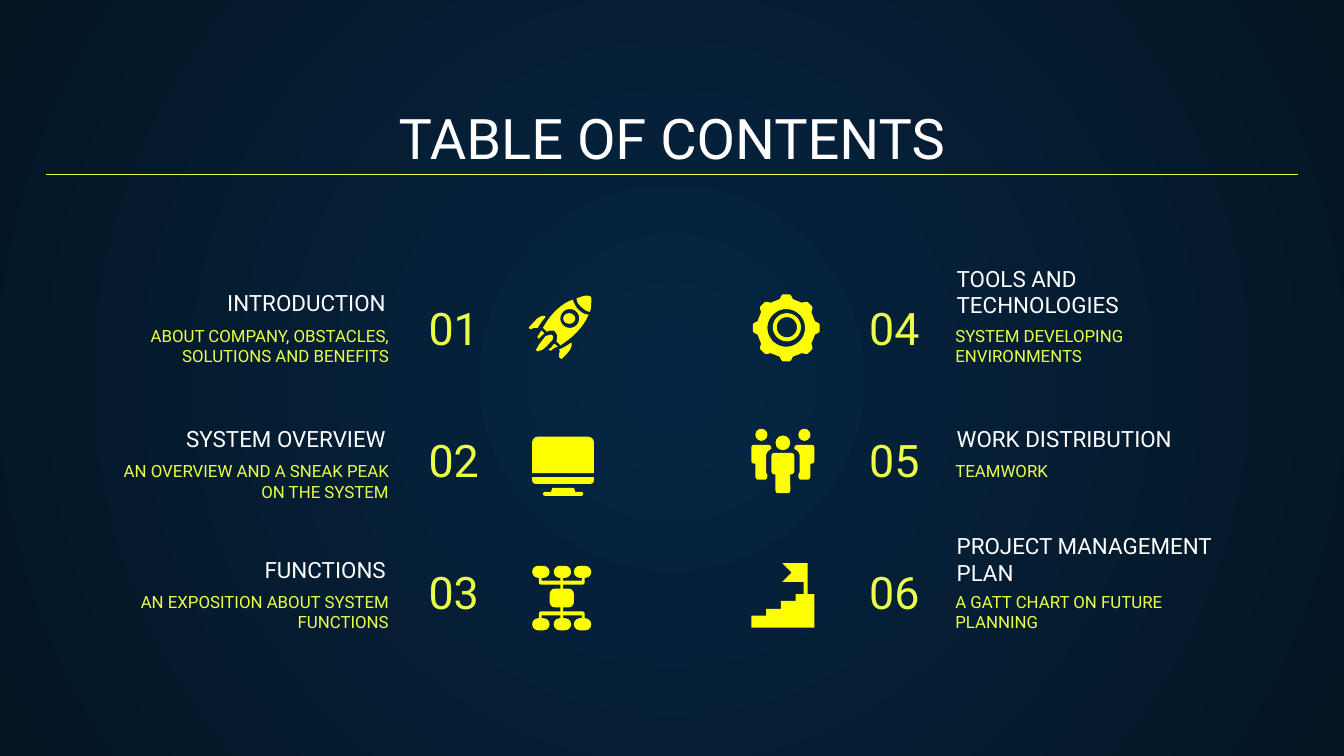
from math import cos, radians, sin
from lxml.etree import SubElement
from pptx import Presentation
from pptx.dml.color import RGBColor
from pptx.enum.shapes import MSO_CONNECTOR, MSO_SHAPE
from pptx.enum.text import MSO_ANCHOR, MSO_AUTO_SIZE, PP_ALIGN
from pptx.oxml.ns import qn
from pptx.util import Inches, Pt

THEME = {
    "font": "Roboto",
    "white": RGBColor.from_string("FFFFFF"),
    "accent": RGBColor.from_string("ECFF48"),
    "icon": RGBColor.from_string("FFFF00"),
    "background": [RGBColor.from_string("052643"), RGBColor.from_string("041523")],
    "title": 30, "number": 24, "heading": 12, "detail": 9,
}

TITLE = "TABLE OF CONTENTS"
LEFT_ITEMS = [
    ("01", "INTRODUCTION", "ABOUT COMPANY, OBSTACLES, SOLUTIONS AND BENEFITS", 2.24),
    ("02", "SYSTEM OVERVIEW", "AN OVERVIEW AND A SNEAK PEAK ON THE SYSTEM", 3.25),
    ("03", "FUNCTIONS", "AN EXPOSITION ABOUT SYSTEM FUNCTIONS", 4.23),
]
RIGHT_ITEMS = [
    ("04", "TOOLS AND TECHNOLOGIES", "SYSTEM DEVELOPING ENVIRONMENTS", 2.26),
    ("05", "WORK DISTRIBUTION", "TEAMWORK", 3.25),
    ("06", "PROJECT MANAGEMENT PLAN", "A GATT CHART ON FUTURE PLANNING", 4.25),
]
NUMBER_TOPS = [2.08, 3.06, 4.04]
DETAIL_TOPS = [2.32, 3.33, 4.3]
COLUMNS = [
    (LEFT_ITEMS, PP_ALIGN.RIGHT, PP_ALIGN.LEFT, (3.09, 1.29), (0.7, 2.27), (0.79, 2.2)),
    (RIGHT_ITEMS, PP_ALIGN.LEFT, PP_ALIGN.RIGHT, (5.65, 1.29), (7.02, 2.27), (7.01, 2.07)),
]

ROCKET_HULL = [
    (4.26, 2.23), (4.18, 2.26, 4.1, 2.33, 4.04, 2.44), (4.07, 2.47),
    (4.08, 2.46, 4.09, 2.46, 4.1, 2.46), (4.11, 2.46, 4.13, 2.46, 4.13, 2.47),
    (4.15, 2.49, 4.15, 2.51, 4.14, 2.54), (4.17, 2.57),
    (4.25, 2.52, 4.34, 2.44, 4.38, 2.34), (4.35, 2.34, 4.33, 2.33, 4.3, 2.3),
    (4.28, 2.28, 4.27, 2.25, 4.26, 2.23),
]
ROCKET_PARTS = [
    [(4.37, 2.2), (4.34, 2.2, 4.32, 2.21, 4.29, 2.22), (4.29, 2.24, 4.3, 2.26, 4.32, 2.28),
     (4.34, 2.3, 4.37, 2.32, 4.39, 2.32), (4.4, 2.29, 4.4, 2.25, 4.4, 2.22),
     (4.4, 2.21, 4.39, 2.2, 4.37, 2.2)],
    [(4.05, 2.35), (4.03, 2.35, 4, 2.36, 3.98, 2.39), (3.94, 2.43),
     (3.93, 2.44, 3.94, 2.45, 3.95, 2.45), (3.97, 2.44, 3.98, 2.44, 4, 2.44),
     (4.02, 2.41, 4.04, 2.38, 4.06, 2.36)],
    [(4.25, 2.55), (4.22, 2.57, 4.19, 2.59, 4.16, 2.6), (4.17, 2.61, 4.16, 2.62, 4.16, 2.65),
     (4.16, 2.66, 4.17, 2.67, 4.18, 2.67), (4.22, 2.63), (4.25, 2.6, 4.26, 2.56, 4.25, 2.55)],
    [(4.1, 2.49), (4.09, 2.49, 4.07, 2.5, 4.06, 2.5), (4.02, 2.55, 4, 2.58, 3.99, 2.6),
     (3.99, 2.61, 4, 2.62, 4.01, 2.61), (4.03, 2.61, 4.06, 2.59, 4.1, 2.54),
     (4.12, 2.53, 4.12, 2.49, 4.1, 2.49)],
    [(4.03, 2.46), (4.01, 2.48, 4.01, 2.5, 4, 2.5), (4, 2.51, 4, 2.52, 4.01, 2.52),
     (4.02, 2.51, 4.03, 2.5, 4.05, 2.48)],
    [(4.13, 2.56), (4.11, 2.56, 4.12, 2.58, 4.08, 2.6), (4.1, 2.61),
     (4.11, 2.6, 4.12, 2.59, 4.15, 2.58)],
]
STAIRS = [
    (5.82, 4.19), (5.89, 4.26), (5.82, 4.33), (5.98, 4.33), (5.98, 4.42), (5.92, 4.42),
    (5.92, 4.47), (5.81, 4.47), (5.81, 4.53), (5.7, 4.53), (5.7, 4.58), (5.59, 4.58),
    (5.59, 4.67), (6.06, 4.67), (6.06, 4.42), (6.01, 4.42), (6.01, 4.19),
]
SIDE_BODY = [
    (5.61, 3.31), (5.6, 3.31, 5.59, 3.32, 5.59, 3.33), (5.59, 3.43),
    (5.59, 3.44, 5.6, 3.45, 5.61, 3.45), (5.62, 3.45), (5.62, 3.54),
    (5.62, 3.56, 5.63, 3.57, 5.64, 3.57), (5.69, 3.57), (5.7, 3.57, 5.71, 3.56, 5.71, 3.54),
    (5.71, 3.53, 5.7, 3.52, 5.7, 3.51), (5.7, 3.39), (5.7, 3.37, 5.72, 3.35, 5.74, 3.34),
    (5.74, 3.32, 5.73, 3.31, 5.71, 3.31),
]


def flatten(path):
    points = [path[0]]
    for step in path[1:]:
        if len(step) == 2:
            points.append(step)
            continue
        curve = [points[-1], step[:2], step[2:4], step[4:]]
        for t in [n / 8 for n in range(1, 9)]:
            weights = [(1 - t) ** 3, 3 * t * (1 - t) ** 2, 3 * t * t * (1 - t), t ** 3]
            points.append(tuple(sum(w * p[axis] for w, p in zip(weights, curve)) for axis in (0, 1)))
    return points


def circle(x, y, radius):
    return [(x + radius * cos(radians(a)), y + radius * sin(radians(a))) for a in range(0, 360, 6)]


def paint(shape):
    shape.shadow.inherit = False
    shape.fill.solid()
    shape.fill.fore_color.rgb = THEME["icon"]
    shape.line.fill.background()
    return shape


def outline(shapes, *paths):
    contours = [[(round(x * 1000), round(y * 1000)) for x, y in flatten(path)] for path in paths]
    builder = shapes.build_freeform(*contours[0][0], scale=Inches(1) / 1000)
    builder.add_line_segments(contours[0][1:])
    for contour in contours[1:]:
        builder.move_to(*contour[0])
        builder.add_line_segments(contour[1:])
    paint(builder.convert_to_shape())


def preset(shapes, kind, left, top, width, height, *adjustments):
    shape = paint(shapes.add_shape(kind, Inches(left), Inches(top), Inches(width), Inches(height)))
    for index, value in enumerate(adjustments):
        shape.adjustments[index] = value


def draw_rocket(shapes):
    outline(shapes, ROCKET_HULL, circle(4.24, 2.37, 0.07))
    preset(shapes, MSO_SHAPE.OVAL, 4.19, 2.33, 0.09, 0.08)
    for part in ROCKET_PARTS:
        outline(shapes, part)


def draw_monitor(shapes):
    preset(shapes, MSO_SHAPE.ROUND_2_SAME_RECTANGLE, 3.96, 3.25, 0.46, 0.27, 0.15, 0)
    preset(shapes, MSO_SHAPE.ROUND_2_SAME_RECTANGLE, 3.96, 3.55, 0.46, 0.05, 0, 0.5)
    preset(shapes, MSO_SHAPE.TRAPEZOID, 4.1, 3.63, 0.18, 0.03, 0.33)
    preset(shapes, MSO_SHAPE.ROUNDED_RECTANGLE, 4.04, 3.66, 0.3, 0.03, 0.5)


def draw_network(shapes):
    for node_top, bar_top, stub_top in [(4.21, 4.32, 4.29), (4.6, 4.55, 4.57)]:
        for left in (3.96, 4.12, 4.27):
            preset(shapes, MSO_SHAPE.ROUNDED_RECTANGLE, left, node_top, 0.13, 0.09, 0.5)
        preset(shapes, MSO_SHAPE.ROUNDED_RECTANGLE, 4.01, bar_top, 0.34, 0.03, 0.5)
        for left in (4.01, 4.33):
            preset(shapes, MSO_SHAPE.RECTANGLE, left, stub_top, 0.02, 0.04)
    preset(shapes, MSO_SHAPE.RECTANGLE, 4.17, 4.29, 0.02, 0.31)
    preset(shapes, MSO_SHAPE.ROUNDED_RECTANGLE, 4.09, 4.38, 0.18, 0.14, 0.28)


def draw_gear(shapes):
    x, y = 5.85, 2.44
    teeth = [(x + r * cos(radians(a + d)), y + r * sin(radians(a + d)))
             for a in range(0, 360, 45)
             for d, r in [(-13, 0.22), (-9, 0.24), (-6, 0.25), (6, 0.25), (9, 0.24), (13, 0.22)]]
    outline(shapes, teeth, circle(x, y, 0.14))
    preset(shapes, MSO_SHAPE.DONUT, 5.75, 2.33, 0.21, 0.21, 0.14)


def draw_team(shapes):
    mirrored = [tuple(v if i % 2 else 11.65 - v for i, v in enumerate(step)) for step in SIDE_BODY]
    outline(shapes, SIDE_BODY)
    outline(shapes, mirrored)
    for left, top, size in [(5.62, 3.19, 0.09), (5.94, 3.19, 0.09), (5.77, 3.24, 0.11)]:
        preset(shapes, MSO_SHAPE.OVAL, left, top, size, size)
    preset(shapes, MSO_SHAPE.ROUNDED_RECTANGLE, 5.74, 3.37, 0.17, 0.16, 0.14)
    preset(shapes, MSO_SHAPE.ROUNDED_RECTANGLE, 5.77, 3.45, 0.11, 0.22, 0.18)


def draw_stairs(shapes):
    outline(shapes, STAIRS)


def write(shape, box, text, role, color, align, anchor=MSO_ANCHOR.BOTTOM):
    shape.left, shape.top, shape.width, shape.height = map(Inches, box)
    frame = shape.text_frame
    frame.word_wrap = True
    frame.auto_size = MSO_AUTO_SIZE.NONE
    frame.vertical_anchor = anchor
    frame.margin_left = frame.margin_right = frame.margin_top = frame.margin_bottom = Inches(0.1)
    paragraph = frame.paragraphs[0]
    paragraph.alignment = align
    run = paragraph.add_run()
    run.text = text
    run.font.name = THEME["font"]
    run.font.size = Pt(THEME[role])
    run.font.color.rgb = THEME[color]


def set_background(slide):
    fill = slide.background.fill
    fill.gradient()
    for stop, color in zip(fill.gradient_stops, THEME["background"]):
        stop.color.rgb = color
    gradient = slide.element.find(".//" + qn("a:gradFill"))
    gradient.remove(gradient.find(qn("a:lin")))
    radial = SubElement(gradient, qn("a:path"), {"path": "circle"})
    SubElement(radial, qn("a:fillToRect"), {side: "50000" for side in "ltrb"})


def main():
    presentation = Presentation()
    presentation.slide_width, presentation.slide_height = Inches(10), Inches(10 * 9 / 16)
    slide = presentation.slides.add_slide(presentation.slide_layouts[5])
    set_background(slide)
    write(slide.shapes.title, (0.34, 0.71, 9.32, 0.66), TITLE, "title", "white", PP_ALIGN.CENTER)

    def label(box, *style):
        write(slide.shapes.add_textbox(0, 0, 0, 0), box, *style)

    for items, text_align, number_align, number_x, heading_x, detail_x in COLUMNS:
        for item, number_top, detail_top in zip(items, NUMBER_TOPS, DETAIL_TOPS):
            number, heading, detail, heading_top = item
            label((number_x[0], number_top, number_x[1], 0.66), number, "number", "accent", number_align)
            label((heading_x[0], heading_top, heading_x[1], 0.21), heading, "heading", "white", text_align)
            label((detail_x[0], detail_top, detail_x[1], 0.55), detail, "detail", "accent",
                  text_align, MSO_ANCHOR.TOP)

    rule = slide.shapes.add_connector(
        MSO_CONNECTOR.STRAIGHT, Inches(0.34), Inches(1.3), Inches(9.66), Inches(1.3))
    rule.line.color.rgb = THEME["accent"]
    rule.line.width = Pt(0.75)
    SubElement(rule.element.spPr, qn("a:effectLst"))

    for draw in (draw_rocket, draw_monitor, draw_network, draw_gear, draw_team, draw_stairs):
        draw(slide.shapes.add_group_shape().shapes)
    presentation.save("out.pptx")


if __name__ == "__main__":
    main()
